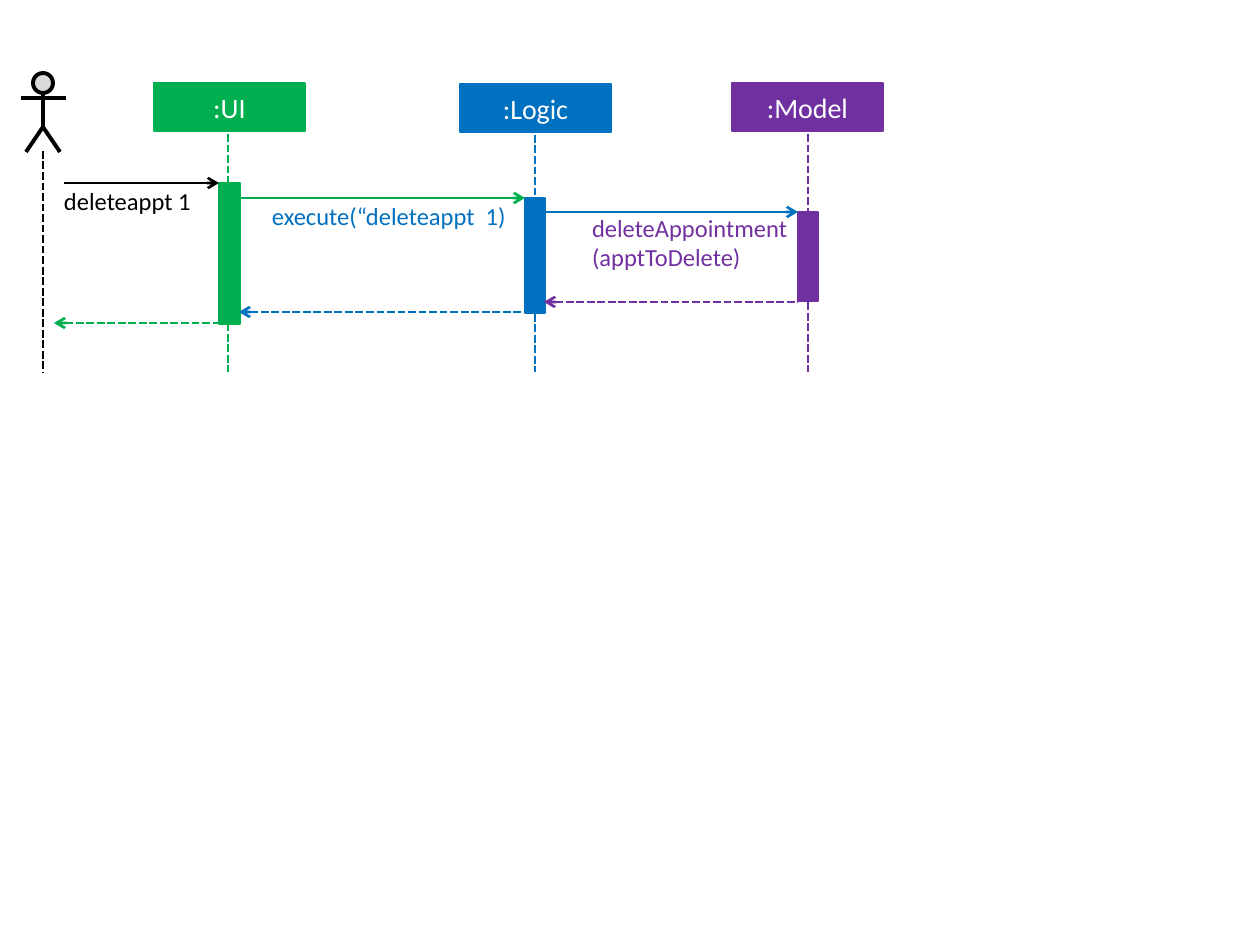
from dataclasses import dataclass

from lxml import etree
from pptx import Presentation
from pptx.dml.color import RGBColor
from pptx.enum.dml import MSO_LINE
from pptx.enum.shapes import MSO_CONNECTOR, MSO_SHAPE
from pptx.enum.text import MSO_ANCHOR, PP_ALIGN
from pptx.oxml.ns import qn
from pptx.shapes.autoshape import Shape
from pptx.slide import Slide
from pptx.util import Emu, Pt

RECTANGLE = MSO_SHAPE.RECTANGLE
CIRCLE = MSO_SHAPE.FLOWCHART_CONNECTOR
STRAIGHT = MSO_CONNECTOR.STRAIGHT
DASH = MSO_LINE.SQUARE_DOT
MIDDLE = MSO_ANCHOR.MIDDLE
CENTER = PP_ALIGN.CENTER

PX_PER_INCH = 126
PAGE_WIDTH, PAGE_HEIGHT = 1260, 945
HEAD_WIDTH, HEAD_HEIGHT = 151, 48
LIFELINE_END = 372
ACTOR_X = 43


@dataclass(frozen=True)
class Theme:
    font: str = "Calibri"
    actor: str = "000000"
    face: str = "D9D9D9"
    ui: str = "00B050"
    logic: str = "0070C0"
    model: str = "7030A0"
    head_text: str = "FFFFFF"
    head_size: int = 16
    label_size: int = 14
    line_width: float = 1.5
    bar_width: float = 0.75
    actor_width: float = 2.25


THEME = Theme()


@dataclass(frozen=True)
class Participant:
    name: str
    color: str
    left: int
    top: int
    axis: int
    bar: tuple[int, int, int, int]


@dataclass(frozen=True)
class Message:
    start: int
    end: int
    y: int
    color: str


@dataclass(frozen=True)
class Label:
    text: str
    color: str
    left: int
    top: int
    width: int
    height: int


PARTICIPANTS = [
    Participant(":UI", THEME.ui, 154, 83, 228, (219, 183, 21, 141)),
    Participant(":Logic", THEME.logic, 460, 84, 535, (525, 198, 20, 115)),
    Participant(":Model", THEME.model, 732, 83, 808, (798, 212, 20, 89)),
]
CALLS = [
    Message(64, 219, 183, THEME.actor),
    Message(239, 525, 198, THEME.ui),
    Message(544, 798, 212, THEME.logic),
]
REPLIES = [
    Message(544, 798, 302, THEME.model),
    Message(239, 523, 312, THEME.logic),
    Message(54, 219, 323, THEME.ui),
]
LABELS = [
    Label("deleteappt 1", THEME.actor, 64, 186, 131, 30),
    Label("execute(“deleteappt  1)", THEME.logic, 272, 201, 251, 30),
    Label("deleteAppointment(apptToDelete)", THEME.model, 592, 213, 197, 59),
]


def px(value: int) -> Emu:
    return Emu(round(value * 914400 / PX_PER_INCH))


def rgb(color: str) -> RGBColor:
    return RGBColor.from_string(color)


def add_block(page: Slide, kind: MSO_SHAPE, bounds: tuple[int, int, int, int],
              fill: str, outline: str, width: float) -> Shape:
    block = page.shapes.add_shape(kind, *map(px, bounds))
    block.shadow.inherit = False
    block.fill.solid()
    block.fill.fore_color.rgb = rgb(fill)
    block.line.color.rgb = rgb(outline)
    block.line.width = Pt(width)
    return block


def add_line(page: Slide, start: tuple[int, int], end: tuple[int, int], color: str,
             width: float = THEME.line_width, dashed: bool = False, arrow: str = "") -> None:
    """Draw a line; arrow is "headEnd" for its start, "tailEnd" for its end."""
    line = page.shapes.add_connector(STRAIGHT, *map(px, start + end))
    line.line.color.rgb = rgb(color)
    line.line.width = Pt(width)
    if dashed:
        line.line.dash_style = DASH
    properties = line._element.spPr
    if arrow:
        etree.SubElement(properties.find(qn("a:ln")), qn(f"a:{arrow}"), type="arrow")
    etree.SubElement(properties, qn("a:effectLst"))


def format_text(box: Shape, text: str, size: int, color: str) -> None:
    box.text_frame.text = text
    font = box.text_frame.paragraphs[0].runs[0].font
    font.name = THEME.font
    font.size = Pt(size)
    font.color.rgb = rgb(color)


def add_actor(page: Slide) -> None:
    color, width = THEME.actor, THEME.actor_width
    add_block(page, CIRCLE, (ACTOR_X - 10, 73, 20, 20), THEME.face, color, width)
    add_line(page, (ACTOR_X, 93), (ACTOR_X, 128), color, width)
    add_line(page, (21, 98), (66, 98), color, width)
    builder = page.shapes.build_freeform(px(26), px(152), scale=1.0)
    builder.add_line_segments([(px(ACTOR_X), px(127)), (px(60), px(152))], close=False)
    legs = builder.convert_to_shape()
    legs.shadow.inherit = False
    legs.fill.background()
    legs.line.color.rgb = rgb(color)
    legs.line.width = Pt(width)
    add_line(page, (ACTOR_X, 151), (ACTOR_X, LIFELINE_END), color, dashed=True)


def add_participant(page: Slide, item: Participant) -> None:
    """Draw the named head, its lifeline and its activation bar."""
    bounds = (item.left, item.top, HEAD_WIDTH, HEAD_HEIGHT)
    head = add_block(page, RECTANGLE, bounds, item.color, item.color, THEME.line_width)
    format_text(head, item.name, THEME.head_size, THEME.head_text)
    head.text_frame.vertical_anchor = MIDDLE
    head.text_frame.paragraphs[0].alignment = CENTER
    add_line(page, (item.axis, item.top + 51), (item.axis, LIFELINE_END),
             item.color, dashed=True)
    add_block(page, RECTANGLE, item.bar, item.color, item.color, THEME.bar_width)


def add_label(page: Slide, label: Label) -> None:
    bounds = (label.left, label.top, label.width, label.height)
    box = page.shapes.add_textbox(*map(px, bounds))
    frame = box.text_frame
    frame.word_wrap = True
    frame.margin_left = frame.margin_right = frame.margin_top = frame.margin_bottom = 0
    format_text(box, label.text, THEME.label_size, label.color)


def main() -> None:
    deck = Presentation()
    deck.slide_width, deck.slide_height = px(PAGE_WIDTH), px(PAGE_HEIGHT)
    page = deck.slides.add_slide(deck.slide_layouts[6])
    add_actor(page)
    for participant in PARTICIPANTS:
        add_participant(page, participant)
    for call in CALLS:
        add_line(page, (call.start, call.y), (call.end, call.y), call.color,
                 arrow="tailEnd")
    for reply in REPLIES:
        add_line(page, (reply.start, reply.y), (reply.end, reply.y), reply.color,
                 dashed=True, arrow="headEnd")
    for label in LABELS:
        add_label(page, label)
    deck.save("out.pptx")


if __name__ == "__main__":
    main()
